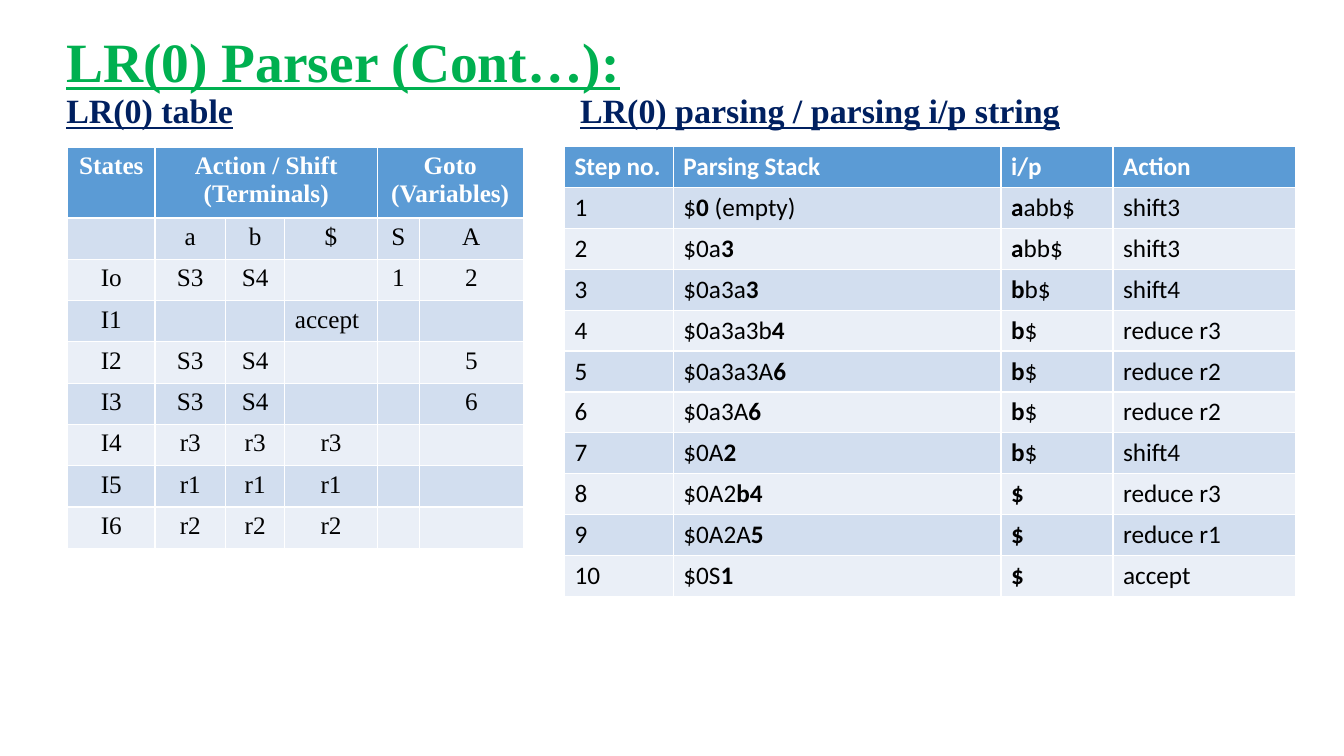
from collections import namedtuple
from dataclasses import dataclass

from lxml import etree
from pptx import Presentation
from pptx.dml.color import RGBColor
from pptx.enum.text import MSO_ANCHOR, PP_ALIGN
from pptx.oxml.ns import qn
from pptx.util import Inches, Pt

CENTER, LEFT, TOP = PP_ALIGN.CENTER, PP_ALIGN.LEFT, MSO_ANCHOR.TOP
PAGE_WIDTH, PAGE_HEIGHT = Inches(13.33), Inches(7.5)

Box = namedtuple("Box", "left top width height")


@dataclass(frozen=True)
class Theme:
    """Colours, fonts and type sizes of the slide."""

    title: RGBColor = RGBColor.from_string("00B050")
    heading: RGBColor = RGBColor.from_string("002060")
    header: RGBColor = RGBColor.from_string("5B9BD5")
    bands: tuple = (RGBColor.from_string("D2DEEF"), RGBColor.from_string("EAEFF7"))
    white: RGBColor = RGBColor.from_string("FFFFFF")
    black: RGBColor = RGBColor.from_string("000000")
    serif: str = "Times New Roman"
    sans: str = "Calibri"
    title_size: float = 39.6
    heading_size: float = 24.3
    table_size: float = 18


THEME = Theme()

STATE_COLUMNS = (0.87, 0.7, 0.59, 0.92, 0.42, 1.03)
STATE_ROWS = (
    ("States", "Action / Shift (Terminals)", "", "", "Goto (Variables)", ""),
    ("", "a", "b", "$", "S", "A"),
    ("Io", "S3", "S4", "", "1", "2"),
    ("I1", "", "", "accept", "", ""),
    ("I2", "S3", "S4", "", "", "5"),
    ("I3", "S3", "S4", "", "", "6"),
    ("I4", "r3", "r3", "r3", "", ""),
    ("I5", "r1", "r1", "r1", "", ""),
    ("I6", "r2", "r2", "r2", "", ""),
)
STEP_COLUMNS = (1.08, 3.25, 1.11, 1.81)
STEP_ROWS = (
    ("Step no.", "Parsing Stack", "i/p", "Action"),
    ("1", "$*0* (empty)", "*a*abb$", "shift3"),
    ("2", "$0a*3*", "*a*bb$", "shift3"),
    ("3", "$0a3a*3*", "*b*b$", "shift4"),
    ("4", "$0a3a3b*4*", "*b*$", "reduce r3"),
    ("5", "$0a3a3A*6*", "*b*$", "reduce r2"),
    ("6", "$0a3A*6*", "*b*$", "reduce r2"),
    ("7", "$0A*2*", "*b*$", "shift4"),
    ("8", "$0A2*b4*", "*$*", "reduce r3"),
    ("9", "$0A2A*5*", "*$*", "reduce r1"),
    ("10", "$0S*1*", "*$*", "accept"),
)


def page_box(left, top, width, height):
    """Return a box given in percent of the page."""
    return Box(int(PAGE_WIDTH * left / 100), int(PAGE_HEIGHT * top / 100),
               int(PAGE_WIDTH * width / 100), int(PAGE_HEIGHT * height / 100))


def style_font(font, name, size, color, bold):
    """Set the look of a font."""
    font.name, font.size, font.bold = name, Pt(size), bold
    font.color.rgb = color


def add_heading(page, box, title, headings, tab_share):
    """Place the title above two headings, the second at a tab stop."""
    frame = page.shapes.add_textbox(*box).text_frame
    frame.word_wrap, frame.vertical_anchor = True, TOP
    frame.margin_top = frame.margin_bottom = 0
    title_para, heading_para = frame.paragraphs[0], frame.add_paragraph()
    title_para.line_spacing = heading_para.line_spacing = 0.9
    title_para.text = title
    style_font(title_para.font, THEME.serif, THEME.title_size, THEME.title, True)
    title_para.font.underline = True

    tabs = etree.SubElement(heading_para._p.get_or_add_pPr(), qn("a:tabLst"))
    etree.SubElement(tabs, qn("a:tab"), pos=str(int(box.width * tab_share)), algn="l")
    style_font(heading_para.font, THEME.serif, THEME.heading_size, THEME.heading, True)
    for text in (headings[0], "\t", headings[1]):
        span = heading_para.add_run()
        span.text = text
        span.font.underline = text != "\t"


def fill_cell(cell, text, font_name, align, color, fill, bold):
    """Write a cell, with bold spans between asterisks."""
    cell.fill.solid()
    cell.fill.fore_color.rgb = fill
    para = cell.text_frame.paragraphs[0]
    para.alignment = align
    style_font(para.font, font_name, THEME.table_size, color, bold)
    for index, part in enumerate(text.split("*")):
        if part:
            span = para.add_run()
            span.text = part
            span.font.bold = bold or index % 2 == 1


def add_grid(page, box, rows, columns, header_share, font_name, align, merges=()):
    """Place a banded table whose header takes a share of the box height."""
    table = page.shapes.add_table(len(rows), len(columns), *box).table
    for column, weight in zip(table.columns, columns):
        column.width = int(box.width * weight / sum(columns))
    body_height = box.height * (1 - header_share) / (len(rows) - 1)
    for number, (row, texts) in enumerate(zip(table.rows, rows)):
        is_header = number == 0
        row.height = int(box.height * header_share if is_header else body_height)
        color = THEME.white if is_header else THEME.black
        fill = THEME.header if is_header else THEME.bands[(number - 1) % 2]
        for cell, text in zip(row.cells, texts):
            cell_align = LEFT if text == "accept" else align
            fill_cell(cell, text, font_name, cell_align, color, fill, is_header)
    for first, last in merges:
        table.cell(0, first).merge(table.cell(0, last))


def build_parser_page(deck):
    """Add the page with the parsing table and the parsing steps."""
    page = deck.slides.add_slide(deck.slide_layouts[6])
    add_heading(page, page_box(4.2, 4.6, 88.9, 12.2), "LR(0) Parser (Cont…):",
                ("LR(0) table", "LR(0) parsing / parsing i/p string"), 0.43)
    add_grid(page, page_box(5.03, 19.5, 33.9, 52), STATE_ROWS, STATE_COLUMNS,
             0.16, THEME.serif, CENTER, merges=((1, 3), (4, 5)))
    add_grid(page, page_box(42, 19.4, 54.4, 59.5), STEP_ROWS, STEP_COLUMNS,
             1 / len(STEP_ROWS), THEME.sans, LEFT)


def main():
    """Build and save the deck."""
    deck = Presentation()
    deck.slide_width, deck.slide_height = PAGE_WIDTH, PAGE_HEIGHT
    build_parser_page(deck)
    deck.save("out.pptx")


if __name__ == "__main__":
    main()
